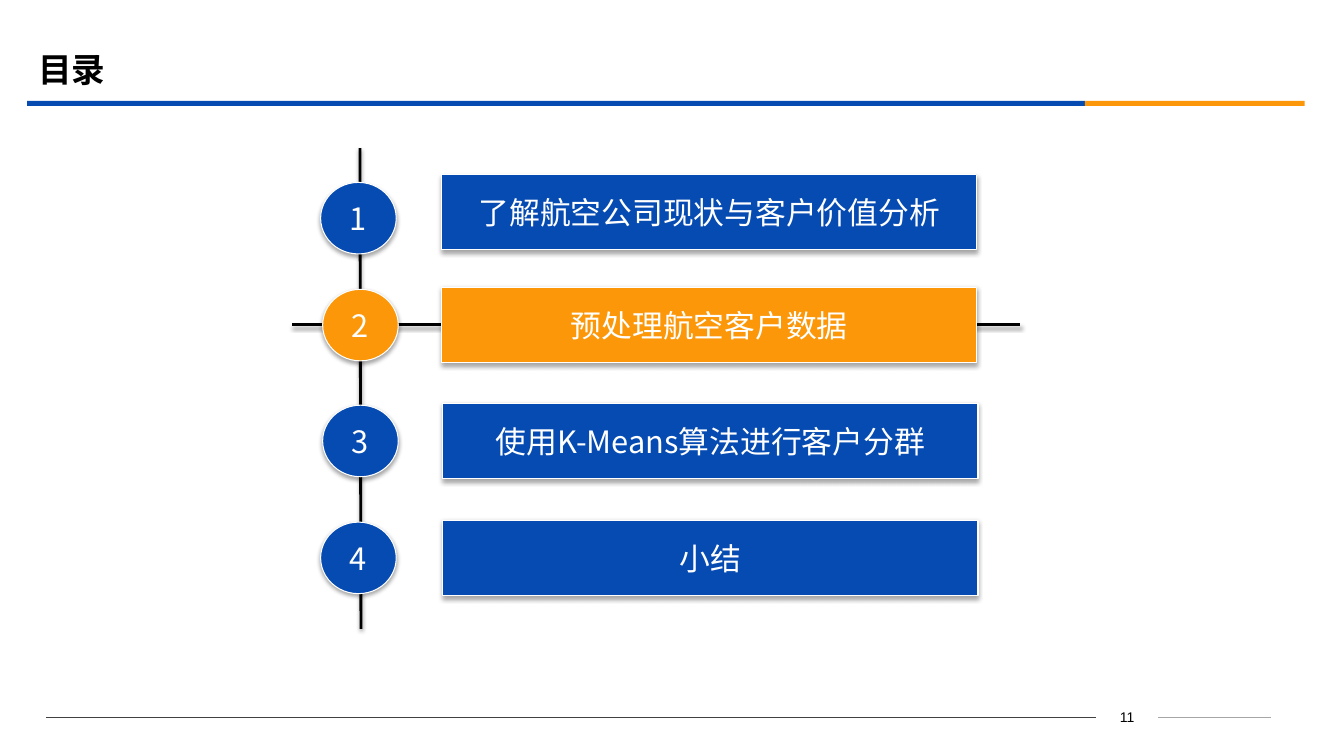
import pptx
import pptx.util
import pptx.dml.color
import pptx.enum.shapes
import pptx.enum.text
import pptx.oxml.ns
from dataclasses import dataclass
from lxml import etree

TITLE = "目录"
PAGE_NUMBER = "11"
CURRENT_CHAPTER = 2
CHAPTERS = [
    {"label": "了解航空公司现状与客户价值分析", "card": (4.38, 1.73), "badge": (3.18, 1.81)},
    {"label": "预处理航空客户数据", "card": (4.38, 2.85), "badge": (3.2, 2.87)},
    {"label": "使用K-Means算法进行客户分群", "card": (4.39, 4), "badge": (3.2, 4.02)},
    {"label": "小结", "card": (4.39, 5.16), "badge": (3.18, 5.18)},
]
CARD_SIZE = (5.31, 0.75)
BADGE_SIZE = (0.75, 0.71)


@dataclass(frozen=True)
class Theme:
    blue: str = "064BB2"
    orange: str = "FB9708"
    white: str = "FFFFFF"
    black: str = "000000"
    footer_dark: str = "404040"
    footer_light: str = "A6A6A6"
    font: str = "Noto Sans CJK SC"
    number_font: str = "Arial"
    title_size: float = 24
    chapter_size: float = 22
    number_size: float = 10
    axis_width: float = 2
    thin_width: float = 0.75


THEME = Theme()
SHAPES = pptx.enum.shapes.MSO_SHAPE
CENTER = pptx.enum.text.PP_ALIGN.CENTER
LEFT = pptx.enum.text.PP_ALIGN.LEFT
inches = pptx.util.Inches
qn = pptx.oxml.ns.qn

presentation = pptx.Presentation()
presentation.slide_width = inches(13.33)
presentation.slide_height = inches(7.5)
slide = presentation.slides.add_slide(presentation.slide_layouts[6])


def rgb(color):
    return pptx.dml.color.RGBColor.from_string(color)


def set_shadow(shape, opacity=None, distance=0):
    properties = shape._element.spPr
    effects = properties.find(qn("a:effectLst"))
    if effects is None:
        effects = etree.SubElement(properties, qn("a:effectLst"))
    if opacity:
        shadow = etree.SubElement(
            effects, qn("a:outerShdw"), blurRad=str(pptx.util.Pt(3.1)),
            dist=str(pptx.util.Pt(distance)), dir="5400000", rotWithShape="0")
        color = etree.SubElement(shadow, qn("a:srgbClr"), val=THEME.black)
        etree.SubElement(color, qn("a:alpha"), val=str(opacity * 1000))


def write(shape, text, size, color, font, alignment=CENTER, bold=False, wrap=False):
    frame = shape.text_frame
    frame.word_wrap = wrap
    frame.vertical_anchor = pptx.enum.text.MSO_ANCHOR.MIDDLE
    paragraph = frame.paragraphs[0]
    paragraph.alignment = alignment
    run = paragraph.add_run()
    run.text = text
    run.font.size = pptx.util.Pt(size)
    run.font.bold = bold
    run.font.color.rgb = rgb(color)
    run.font.name = font
    etree.SubElement(run.font._element, qn("a:ea"), typeface=font)


def add_line(start, end, color, width):
    line = slide.shapes.add_connector(
        pptx.enum.shapes.MSO_CONNECTOR.STRAIGHT, *map(inches, start + end))
    line.line.color.rgb = rgb(color)
    line.line.width = pptx.util.Pt(width)
    return line


def add_block(kind, position, size, fill):
    block = slide.shapes.add_shape(kind, *map(inches, position + size))
    block.shadow.inherit = False
    block.fill.solid()
    block.fill.fore_color.rgb = rgb(fill)
    block.line.fill.background()
    return block


def add_chapter_part(kind, position, size, fill, text):
    part = add_block(kind, position, size, fill)
    part.line.color.rgb = rgb(THEME.white)
    part.line.width = pptx.util.Pt(THEME.thin_width)
    set_shadow(part, 35, 1.8)
    write(part, text, THEME.chapter_size, THEME.white, THEME.font)


def add_text(position, size, *content, **options):
    box = slide.shapes.add_textbox(*map(inches, position + size))
    write(box, *content, wrap=True, **options)


add_text((10.87, 6.99), (0.62, 0.25), PAGE_NUMBER, THEME.number_size,
         THEME.black, THEME.number_font)
for left, right, color in [(11.49, 12.61, THEME.footer_light), (0.46, 10.87, THEME.footer_dark)]:
    set_shadow(add_line((left, 7.12), (right, 7.12), color, THEME.thin_width))

for left, width, color in [(0.27, 10.49, THEME.blue), (10.76, 2.18, THEME.orange)]:
    add_block(SHAPES.RECTANGLE, (left, 1), (width, 0.05), color)
add_text((0.28, 0.39), (12, 0.58), TITLE, THEME.title_size, THEME.black, THEME.font,
         alignment=LEFT, bold=True)

for start, end in [((3.57, 1.47), (3.58, 6.24)), ((2.9, 3.22), (10.12, 3.22))]:
    set_shadow(add_line(start, end, THEME.black, THEME.axis_width), 38, 1.6)

for number, chapter in enumerate(CHAPTERS, 1):
    fill = THEME.orange if number == CURRENT_CHAPTER else THEME.blue
    add_chapter_part(SHAPES.ACTION_BUTTON_CUSTOM, chapter["card"], CARD_SIZE, fill, chapter["label"])
    add_chapter_part(SHAPES.OVAL, chapter["badge"], BADGE_SIZE, fill, str(number))

presentation.save("out.pptx")
